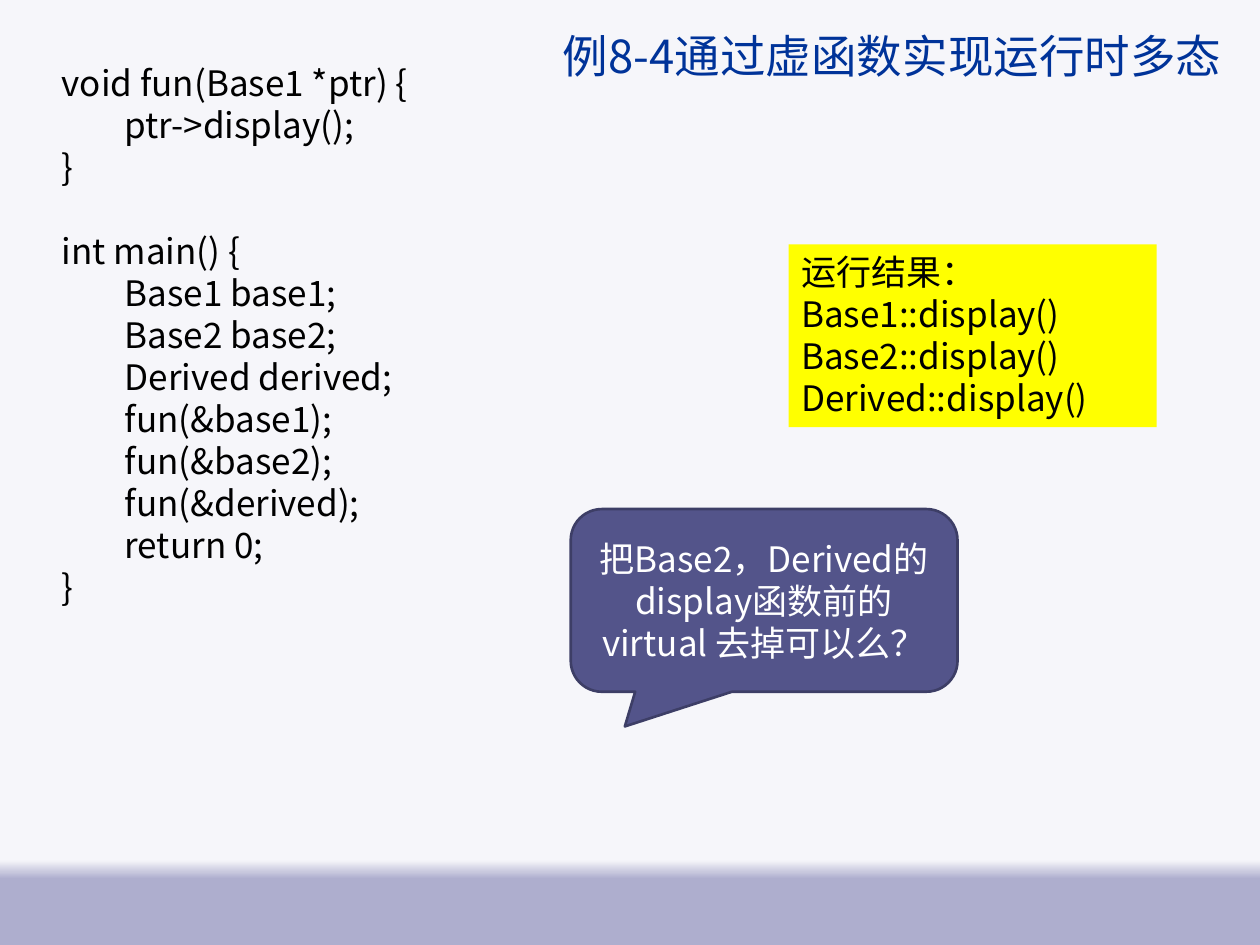
import pptx
import pptx.util
import pptx.dml.color
import pptx.enum.shapes
import pptx.enum.text
from lxml import etree

Inches = pptx.util.Inches
Pt = pptx.util.Pt
RGBColor = pptx.dml.color.RGBColor
Shape = pptx.enum.shapes.MSO_SHAPE
Anchor = pptx.enum.text.MSO_ANCHOR
Align = pptx.enum.text.PP_ALIGN

FONT = "Noto Sans CJK SC"
BLACK = RGBColor(0x00, 0x00, 0x00)
WHITE = RGBColor(0xFF, 0xFF, 0xFF)
BLUE = RGBColor(0x00, 0x33, 0x99)
YELLOW = RGBColor(0xFF, 0xFF, 0x00)
PURPLE = RGBColor(0x53, 0x54, 0x8A)
EDGE = RGBColor(0x3D, 0x3E, 0x66)
PALE = RGBColor(0xF6, 0xF6, 0xFA)
BAND = RGBColor(0xAE, 0xAE, 0xCE)

TITLE = "例8-4通过虚函数实现运行时多态"
FUN = """void fun(Base1 *ptr) {
\tptr->display();
}"""
MAIN = """int main() {
\tBase1 base1;
\tBase2 base2;
\tDerived derived;
\tfun(&base1);
\tfun(&base2);
\tfun(&derived);
\treturn 0;
}"""
RESULT = """运行结果：
Base1::display()
Base2::display()
Derived::display()"""
ASK = "把Base2，Derived的display函数前的virtual 去掉可以么？"


def write(frame, text, size=20, color=BLACK, align=Align.LEFT,
          anchor=Anchor.TOP, pitch=24, gap=0):
    """Add the lines of text to a frame; gap goes before a later block."""
    frame.word_wrap = True
    frame.vertical_anchor = anchor
    for pos, line in enumerate(text.split("\n")):
        fresh = not frame.text
        para = frame.paragraphs[0] if fresh else frame.add_paragraph()
        para.alignment = align
        if pitch:
            para.line_spacing = Pt(pitch)
        if gap and pos == 0:
            para.space_before = Pt(gap)
        run = para.add_run()
        run.text = line
        run.font.size = Pt(size)
        run.font.color.rgb = color
        run.font.name = FONT
        # East Asian typeface
        props = run._r.get_or_add_rPr()
        tag = pptx.oxml.ns.qn("a:ea")
        etree.SubElement(props, tag).set("typeface", FONT)


class Deck:
    def __init__(self):
        self.show = pptx.Presentation()
        self.show.slide_width = Inches(10)
        self.show.slide_height = Inches(7.5)
        self.slide = self.show.slides.add_slide(self.show.slide_layouts[6])

    def ground(self):
        fill = self.slide.background.fill
        fill.gradient()
        fill.gradient_angle = 270
        stops = ((0.91, PALE), (0.93, BAND))
        for stop, (place, color) in zip(fill.gradient_stops, stops):
            stop.position = place
            stop.color.rgb = color

    def text(self, box, text, inset=0.1, **form):
        frame = self.slide.shapes.add_textbox(*map(Inches, box)).text_frame
        frame.margin_left = Inches(inset)
        write(frame, text, **form)
        return frame

    def panel(self, kind, box, text, fill, line=None, adjust=(), **form):
        shape = self.slide.shapes.add_shape(kind, *map(Inches, box))
        shape.shadow.inherit = False
        shape.fill.solid()
        shape.fill.fore_color.rgb = fill
        if line is None:
            shape.line.fill.background()
        else:
            shape.line.color.rgb = line
            shape.line.width = Pt(1.5)
        for pos, value in enumerate(adjust):
            shape.adjustments[pos] = value
        write(shape.text_frame, text, **form)


def main():
    deck = Deck()
    deck.ground()

    # Title
    deck.text((4.37, -0.03, 5.83, 0.94), TITLE, size=26, color=BLUE,
              anchor=Anchor.MIDDLE, pitch=None)

    # Code, with one line of space between the functions
    code = deck.text((0.27, 0.44, 7.57, 5.88), FUN, inset=0.22)
    write(code, MAIN, gap=24)

    # Program output
    deck.panel(Shape.RECTANGLE, (6.26, 1.94, 2.92, 1.45), RESULT, YELLOW)

    # Question
    deck.panel(Shape.ROUNDED_RECTANGULAR_CALLOUT, (4.53, 4.04, 3.07, 1.45),
               ASK, PURPLE, line=EDGE, adjust=(-0.36, 0.69, 0.17),
               color=WHITE, align=Align.CENTER, anchor=Anchor.MIDDLE)

    deck.show.save("out.pptx")


if __name__ == "__main__":
    main()
